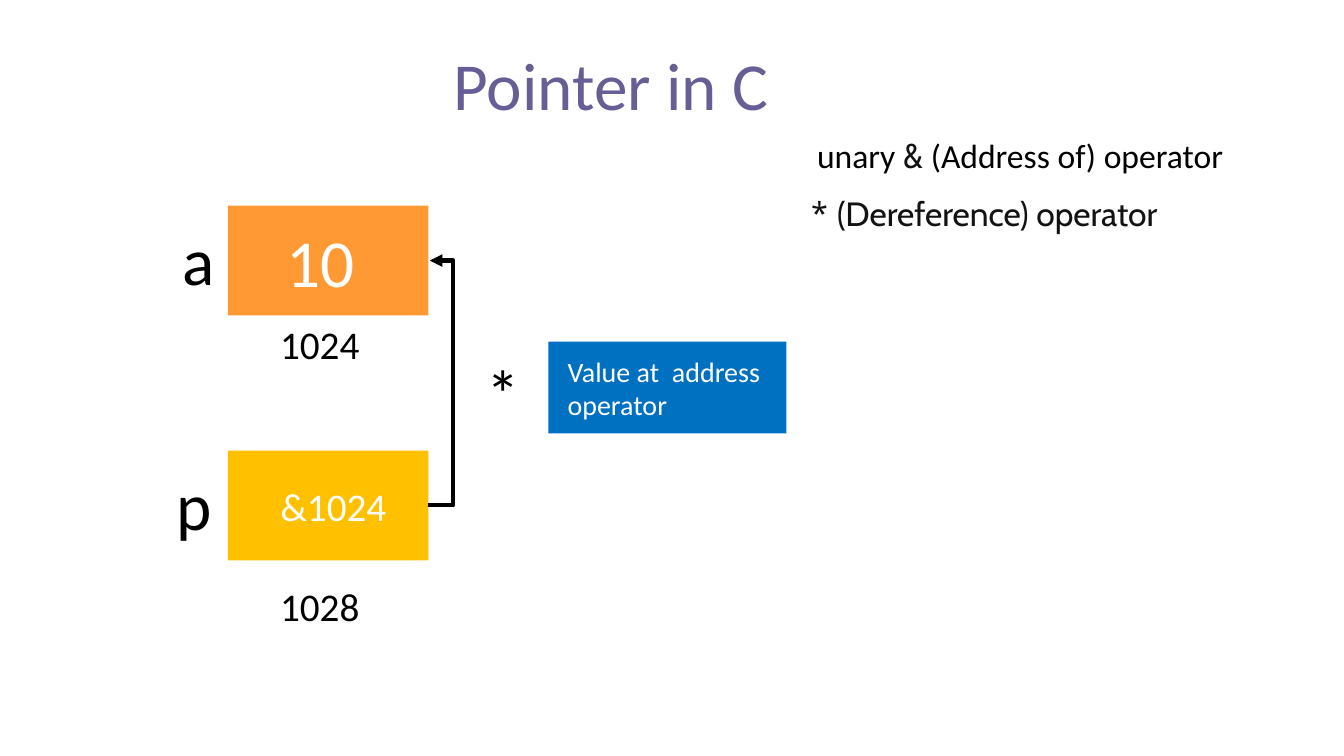
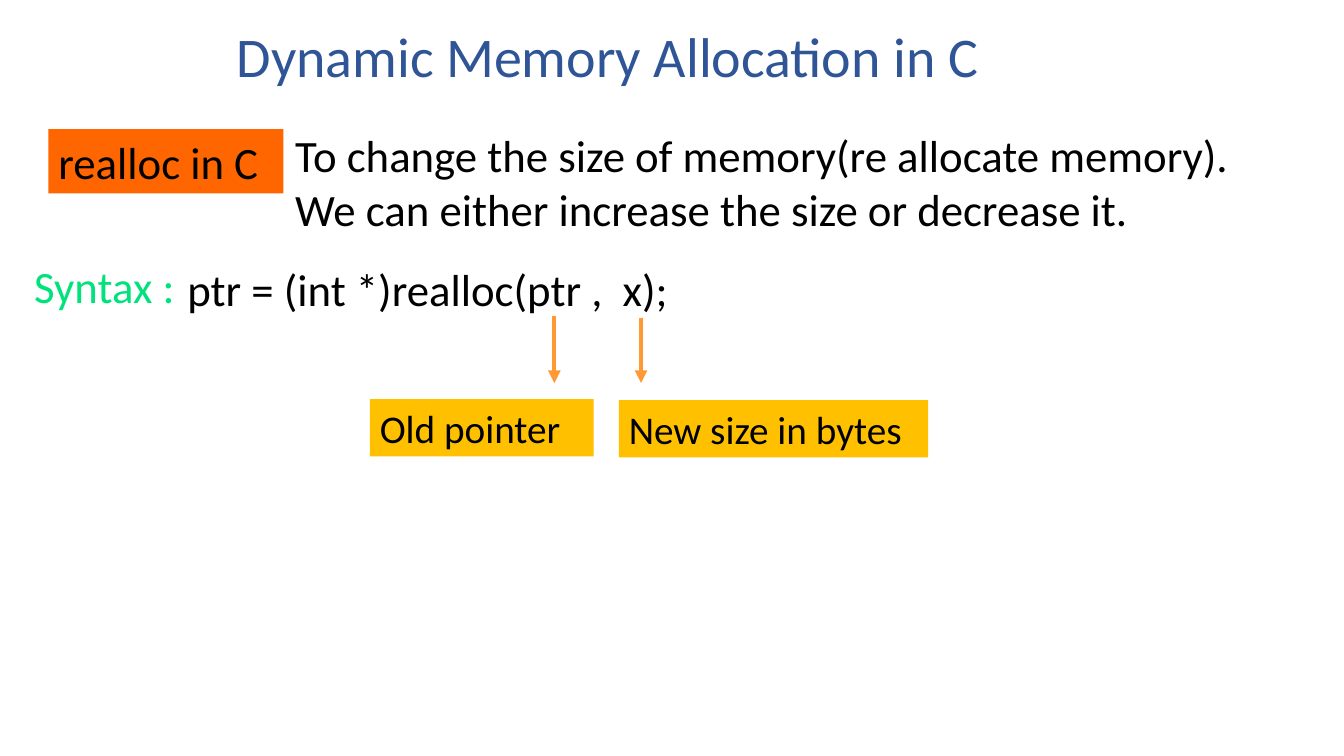
"""Two slides on C: pointers and realloc."""
from lxml.etree import SubElement as Sub
from pptx import Presentation
from pptx.dml.color import RGBColor as Rgb
from pptx.enum.shapes import MSO_CONNECTOR as Link, MSO_SHAPE as Shape
from pptx.enum.text import MSO_ANCHOR as Anchor, PP_ALIGN as Align
from pptx.oxml.ns import qn
from pptx.util import Pt

HUES = {
    "violet": "675E95", "navy": "2F5597", "black": "000000", "ink": "121213",
    "white": "FFFFFF", "orange": "FF9933", "gold": "FFC000", "blue": "0070C0",
    "flame": "FF6600", "green": "00E27C",
}
FONT, CODE, SANS = "Calibri", "Noto Sans Mono", "Cabin"
PAD = 7.2

TITLES = [
    ("Pointer in C", (317, 27.4, 344, 65.5), 48, "violet"),
    ("Dynamic Memory Allocation in C", (162, 12.2, 695.5, 55.4), 40, "navy"),
]

CELL_X, CELL_W, CELL_H = 162.7, 143.3, 78.5
CELLS = [
    {"top": 146.9, "fill": "orange", "value": "10", "size": 48, "pad": 42,
     "name": "a", "name_x": 123, "addr": "1024", "addr_y": 225.4},
    {"top": 321.8, "fill": "gold", "value": "&1024", "size": 28, "pad": 37.5,
     "name": "p", "name_x": 119, "addr": "1028", "addr_y": 412.6},
]
STAR = ("*", (340.6, 247.7, 61, 65.5))
NOTE = ("Value at  address operator", (391.7, 244.1, 170, 65.5))
OPS = [
    ((576.5, 92.9, 350, 36), [
        ("unary ", FONT, "black"), ("&", CODE, "ink"),
        (" (Address of) operator", FONT, "black")]),
    ((571, 133.9, 290, 36), [
        ("*", CODE, "ink"), (" (Dereference) operator", SANS, "ink")]),
]

TEXTS = [
    ("realloc in C", (34.6, 92.2, 167.8, 46), 32, "black", "flame"),
    ("Syntax :", (17.3, 181.4, 121.7, 46), 32, "green", None),
    ("ptr = (int *)realloc(ptr ,  x);", (126.7, 183.6, 621.4, 46), 32,
     "black", None),
    ("Old pointer", (264.2, 285.1, 159.8, 41), 28, "black", "gold"),
    ("New size in bytes", (442.1, 285.8, 221, 41), 28, "black", "gold"),
    ("To change the size of memory(re allocate memory).\n"
     "We can either increase the size or decrease it.",
     (203.8, 87.8, 756, 85), 32, "black", None),
]
ARROWS = [(396, 225.4), (457.9, 226.8)]
ARROW_END = 273.6


def style(run, size, hue, font=FONT):
    """Set the font of one run."""
    run.font.name, run.font.size = font, Pt(size)
    run.font.color.rgb = Rgb.from_string(HUES[hue])


def text(slide, words, rect, size, hue, fill=None, pad=PAD):
    """Add words in a plain text box or in a filled rectangle."""
    place = [Pt(n) for n in rect]
    if fill:
        box = slide.shapes.add_shape(Shape.RECTANGLE, *place)
        box.shadow.inherit = False
        box.fill.solid()
        box.fill.fore_color.rgb = Rgb.from_string(HUES[fill])
        box.line.fill.background()
    else:
        box = slide.shapes.add_textbox(*place)
    frame = box.text_frame
    frame.text = words
    frame.word_wrap = True
    frame.margin_left = Pt(pad)
    frame.vertical_anchor = Anchor.MIDDLE if fill else Anchor.TOP
    for para in frame.paragraphs:
        para.alignment = Align.LEFT
        for run in para.runs:
            style(run, size, hue)
    return box


def arrow(slide, kind, ends, hue):
    """Add a connector with a triangle at its end."""
    link = slide.shapes.add_connector(kind, *[Pt(n) for n in ends])
    link.line.width = Pt(3)
    link.line.color.rgb = Rgb.from_string(HUES[hue])
    Sub(link.line._get_or_add_ln(), qn("a:tailEnd"), type="triangle")
    Sub(link._element.spPr, qn("a:effectLst"))
    return link


def pointer(slide):
    """Draw the memory cells and the operators."""
    for cell in CELLS:
        top = cell["top"]
        text(slide, cell["value"], (CELL_X, top, CELL_W, CELL_H),
             cell["size"], "white", cell["fill"], cell["pad"])
        text(slide, cell["name"], (cell["name_x"], top + 5.8, 40, 65.5),
             48, "black")
        text(slide, cell["addr"], (193, cell["addr_y"], 81, 41), 28, "black")
    edge = CELL_X + CELL_W
    goal, start = [cell["top"] + CELL_H / 2 for cell in CELLS]
    bend = arrow(slide, Link.ELBOW, (edge, start, edge + 1, goal), "black")
    guides = bend._element.spPr.find(qn("a:prstGeom")).get_or_add_avLst()
    Sub(guides, qn("a:gd"), name="adj1", fmla="val 1800000")
    text(slide, *STAR, 48, "black")
    text(slide, *NOTE, 20, "white", "blue", 13.7)
    for rect, parts in OPS:
        para = text(slide, "", rect, 24, "ink").text_frame.paragraphs[0]
        for words, font, hue in parts:
            run = para.add_run()
            run.text = words
            style(run, 24, hue, font)


def realloc(slide):
    """Draw the syntax of realloc and its labels."""
    for item in TEXTS:
        text(slide, *item)
    for x, top in ARROWS:
        arrow(slide, Link.STRAIGHT, (x, top, x, ARROW_END), "orange")


def main():
    """Build and save the deck."""
    deck = Presentation()
    deck.slide_width, deck.slide_height = Pt(960), Pt(540)
    for title, draw in zip(TITLES, (pointer, realloc)):
        slide = deck.slides.add_slide(deck.slide_layouts[6])
        text(slide, *title)
        draw(slide)
    deck.save("out.pptx")


if __name__ == "__main__":
    main()
